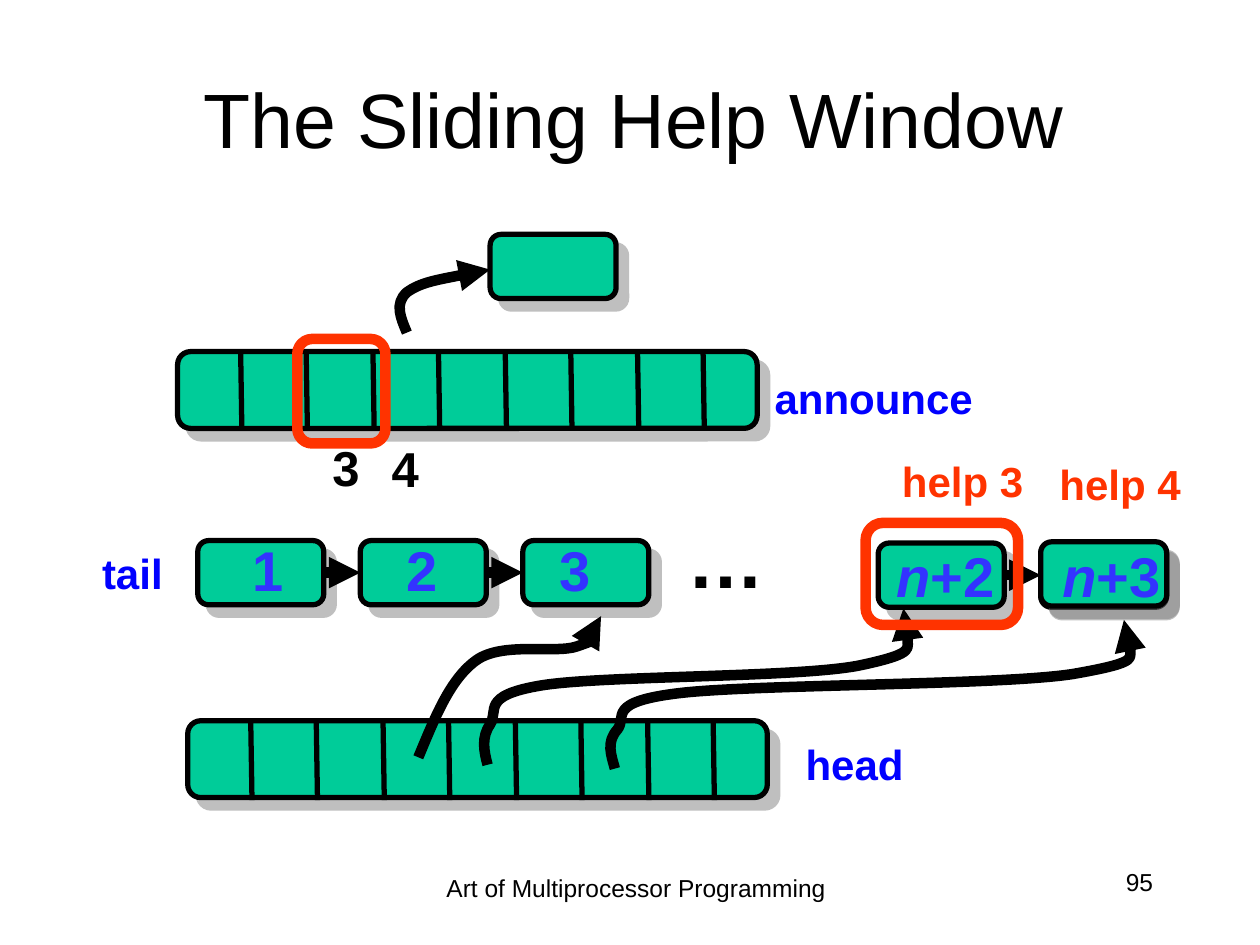
from dataclasses import dataclass

from lxml import etree
from pptx import Presentation
from pptx.dml.color import RGBColor
from pptx.enum import shapes, text
from pptx.oxml import ns
from pptx.util import Emu, Pt

PX = 9144  # 100 px to the inch
BLACK = RGBColor(0x00, 0x00, 0x00)
BLUE = RGBColor(0x00, 0x00, 0xFF)
INDIGO = RGBColor(0x33, 0x33, 0xFF)
GREEN = RGBColor(0x00, 0xCC, 0x99)
ORANGE = RGBColor(0xFF, 0x33, 0x00)
GREY = RGBColor(0x80, 0x80, 0x80)
LEFT, CENTER, RIGHT = text.PP_ALIGN.LEFT, text.PP_ALIGN.CENTER, text.PP_ALIGN.RIGHT
LEFT_SIDE, RIGHT_SIDE = 1, 3
NODE_SIZE = (100, 51)
ARRAY_SIZE = (460, 61)


@dataclass(frozen=True)
class Box:
    left: int
    top: int
    width: int
    height: int

    def emu(self) -> list[Emu]:
        return [Emu(v * PX) for v in (self.left, self.top, self.width, self.height)]


@dataclass(frozen=True)
class Label:
    words: str
    box: Box
    size: int
    color: RGBColor = BLACK
    bold: bool = True
    align: text.PP_ALIGN = RIGHT
    wrap: bool = False
    italic_prefix: str = ""
    anchor: text.MSO_ANCHOR = text.MSO_ANCHOR.TOP


NODES = {
    "spare": (389, 186),
    "1": (157, 429),
    "2": (286, 429),
    "3": (415, 429),
    "n+2": (697, 431),
    "n+3": (826, 431),
    "n+3 front": (826, 430),
}
LINKS = [("1", "2"), ("2", "3"), ("n+2", "n+3")]
ARRAYS = [(149, 572), (141, 279)]
WINDOWS = [Box(687, 415, 121, 81), Box(236, 269, 70, 83)]

# Each curve is a start point followed by triples of Bézier points.
CURVES = [
    [(323, 264), (318, 252), (313, 241), (323, 232),
     (334, 224), (362, 219), (389, 214)],
    [(488, 610), (485, 599), (481, 589), (490, 579),
     (498, 569), (480, 557), (540, 550),
     (600, 543), (792, 544), (851, 535),
     (909, 525), (901, 508), (892, 492)],
    [(332, 601), (345, 570), (357, 539), (378, 524),
     (399, 509), (441, 519), (458, 513),
     (475, 507), (476, 498), (477, 489)],
    [(387, 607), (384, 596), (382, 585), (389, 575),
     (396, 564), (381, 552), (430, 544),
     (479, 536), (635, 538), (683, 528),
     (730, 518), (723, 500), (717, 483)],
]

LABELS = [
    Label("The Sliding Help Window", Box(78, 31, 850, 125), 44, bold=False,
          align=CENTER, wrap=True, anchor=text.MSO_ANCHOR.MIDDLE),
    Label("announce", Box(597, 291, 185, 50), 24, BLUE),
    Label("tail", Box(71, 430, 68, 50), 24, BLUE),
    Label("head", Box(629, 581, 98, 50), 24, BLUE),
    Label("3", Box(254, 342, 41, 57), 28),
    Label("4", Box(301, 343, 41, 57), 28),
    Label("…", Box(536, 401, 81, 84), 44),
    Label("help 3", Box(706, 357, 116, 50), 24, ORANGE, align=LEFT),
    Label("help 4", Box(831, 359, 116, 50), 24, ORANGE, align=LEFT),
    *[Label(str(i + 1), Box(190 + 122 * i, 420, 45, 64), 32, INDIGO) for i in range(3)],
    Label("+2", Box(701, 425, 98, 64), 32, INDIGO, italic_prefix="n"),
    Label("+3", Box(833, 425, 98, 64), 32, INDIGO, italic_prefix="n"),
    Label("Art of Multiprocessor Programming", Box(323, 688, 364, 50), 14,
          bold=False, align=CENTER, wrap=True),
    Label("95", Box(717, 683, 208, 50), 14, bold=False, wrap=True),
]


def set_all(target, values: dict) -> None:
    for name, value in values.items():
        setattr(target, name, value)


def set_line(shape, color: RGBColor, width: int, arrow: bool = False) -> None:
    shape.line.color.rgb = color
    shape.line.width = Pt(width)
    if arrow:
        line = shape.line._get_or_add_ln()
        etree.SubElement(line, ns.qn("a:tailEnd"), type="triangle")


def add_shadow(shape) -> None:
    """Cast a half-transparent grey shadow to the lower right."""
    shape.shadow.inherit = False
    effects = shape._element.spPr.find(ns.qn("a:effectLst"))
    outer = etree.SubElement(effects, ns.qn("a:outerShdw"), blurRad="0",
                             dist=str(Pt(8.5)), dir="2700000", algn="ctr", rotWithShape="0")
    color = etree.SubElement(outer, ns.qn("a:srgbClr"), val=str(GREY))
    etree.SubElement(color, ns.qn("a:alpha"), val="50000")


def add_rounded(slide, box: Box):
    shape = slide.shapes.add_shape(shapes.MSO_SHAPE.ROUNDED_RECTANGLE, *box.emu())
    shape.adjustments[0] = 0.17
    shape.shadow.inherit = False
    return shape


def add_cell(slide, box: Box):
    """Add a green rounded box with a black outline and a shadow."""
    shape = add_rounded(slide, box)
    shape.fill.solid()
    shape.fill.fore_color.rgb = GREEN
    set_line(shape, BLACK, 3)
    add_shadow(shape)
    return shape


def add_window(slide, box: Box) -> None:
    shape = add_rounded(slide, box)
    shape.fill.background()
    set_line(shape, ORANGE, 6)


def add_straight(slide, start: tuple[int, int], end: tuple[int, int],
                 width: int, arrow: bool = False):
    ends = [Emu(v * PX) for v in (*start, *end)]
    line = slide.shapes.add_connector(shapes.MSO_CONNECTOR.STRAIGHT, *ends)
    set_line(line, BLACK, width, arrow)
    etree.SubElement(line._element.spPr, ns.qn("a:effectLst"))
    return line


def add_array(slide, left: int, top: int) -> None:
    add_cell(slide, Box(left, top, *ARRAY_SIZE))
    for i in range(8):
        x = left + 50 + 105 * i // 2
        add_straight(slide, (x, top), (x + 1, top + 63), 3)


def add_curve(slide, points: list[tuple[int, int]]) -> None:
    builder = slide.shapes.build_freeform(*points[0], scale=PX)
    builder.add_line_segments(points[1:], close=False)
    shape = builder.convert_to_shape()
    outline = shape._element.spPr.find(".//" + ns.qn("a:path"))
    segments = outline.findall(ns.qn("a:lnTo"))
    for i in range(0, len(segments), 3):
        bezier = etree.SubElement(outline, ns.qn("a:cubicBezTo"))
        for segment in segments[i:i + 3]:
            bezier.append(segment[0])
            outline.remove(segment)
    shape.fill.background()
    shape.shadow.inherit = False
    set_line(shape, BLACK, 6, arrow=True)


def add_label(slide, label: Label) -> None:
    frame = slide.shapes.add_textbox(*label.box.emu()).text_frame
    fit = text.MSO_AUTO_SIZE.NONE if label.wrap else text.MSO_AUTO_SIZE.SHAPE_TO_FIT_TEXT
    set_all(frame, {"word_wrap": label.wrap, "auto_size": fit,
                    "vertical_anchor": label.anchor})
    paragraph = frame.paragraphs[0]
    paragraph.alignment = label.align
    for words, italic in ((label.italic_prefix, True), (label.words, False)):
        if words:
            run = paragraph.add_run()
            run.text = words
            set_all(run.font, {"name": "Arial", "size": Pt(label.size),
                               "bold": label.bold, "italic": italic})
            run.font.color.rgb = label.color


def main() -> None:
    presentation = Presentation()
    set_all(presentation, {"slide_width": Emu(1000 * PX), "slide_height": Emu(750 * PX)})
    slide = presentation.slides.add_slide(presentation.slide_layouts[6])
    nodes = {name: add_cell(slide, Box(*corner, *NODE_SIZE))
             for name, corner in NODES.items()}
    for source, target in LINKS:
        link = add_straight(slide, NODES[source], NODES[target], 6, arrow=True)
        link.begin_connect(nodes[source], RIGHT_SIDE)
        link.end_connect(nodes[target], LEFT_SIDE)
    for corner in ARRAYS:
        add_array(slide, *corner)
    for points in CURVES:
        add_curve(slide, points)
    for window in WINDOWS:
        add_window(slide, window)
    for label in LABELS:
        add_label(slide, label)
    presentation.save("out.pptx")


if __name__ == "__main__":
    main()
